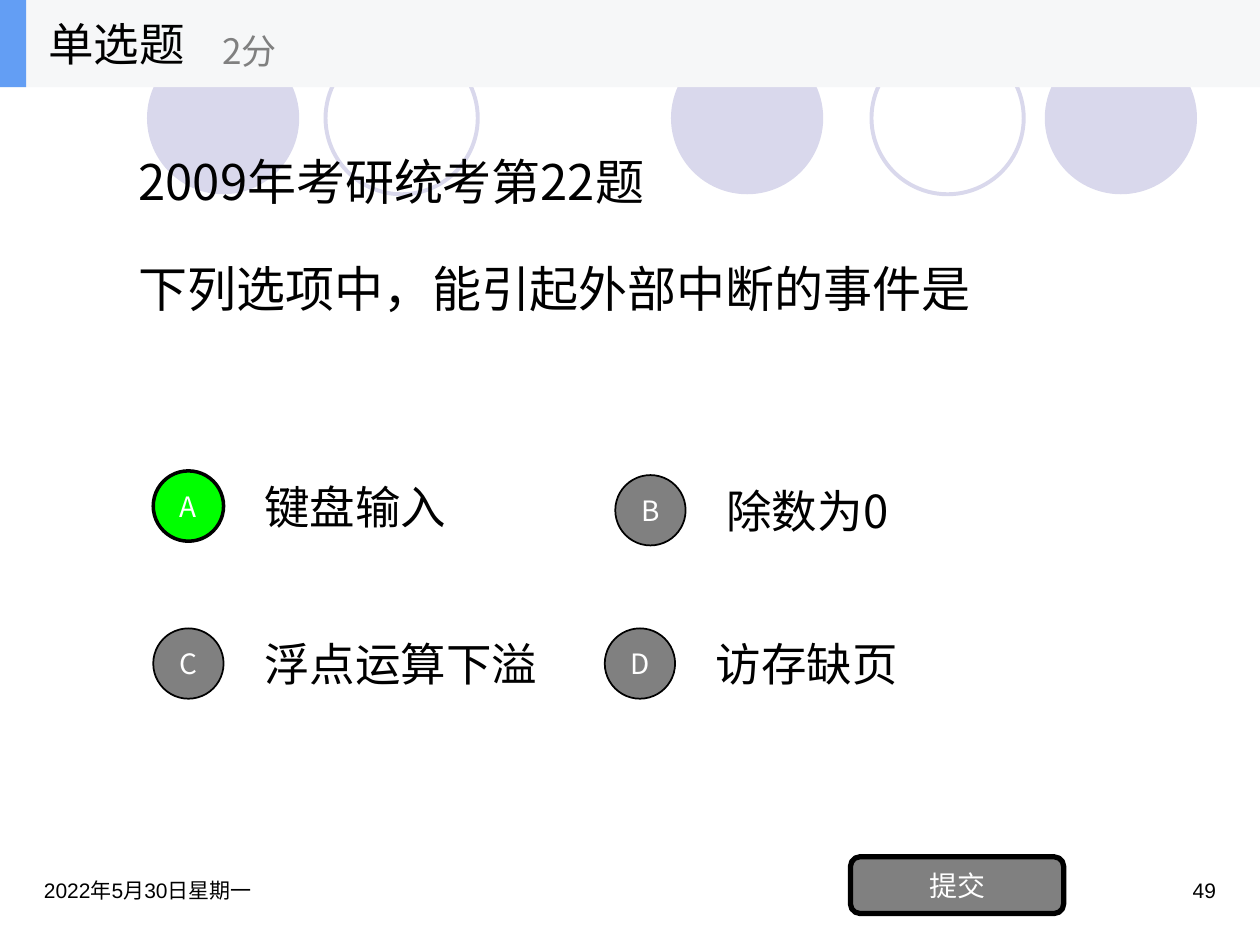
from dataclasses import dataclass

from lxml import etree
from pptx import Presentation, util as u
from pptx.dml.color import RGBColor
from pptx.enum import shapes, text
from pptx.oxml import ns


@dataclass(frozen=True)
class Theme:
    black: str = "000000"
    white: str = "FFFFFF"
    grey: str = "808080"
    lilac: str = "D9D8EC"
    blue: str = "639EF4"
    band: str = "F6F7F8"
    correct: str = "00FF00"
    latin: str = "Arial"
    cjk: str = "Noto Sans CJK SC"
    question: int = 28
    heading: int = 26
    score: int = 20
    button: int = 16
    footer: int = 12


class QuizPage:
    """Places elements on a grid of 120 columns by 90 rows."""

    columns, rows = 120, 90

    def __init__(self, deck, theme):
        self.theme = theme
        self.cell_width = deck.slide_width / self.columns
        self.cell_height = deck.slide_height / self.rows
        self.page = deck.slides.add_slide(deck.slide_layouts[1])

    def area(self, left, top, width, height):
        return (u.Emu(round(left * self.cell_width)), u.Emu(round(top * self.cell_height)),
                u.Emu(round(width * self.cell_width)), u.Emu(round(height * self.cell_height)))

    def style_text(self, box, words, size, color, align=text.PP_ALIGN.LEFT,
                   anchor=text.MSO_ANCHOR.MIDDLE, font=None):
        frame = box.text_frame
        frame.text = words
        frame.word_wrap = True
        frame.auto_size = text.MSO_AUTO_SIZE.NONE
        frame.vertical_anchor = anchor
        for para in frame.paragraphs:
            para.alignment = align
            para.space_before = u.Pt(0)
            for span in para.runs:
                span.font.size = u.Pt(size)
                span.font.name = font or self.theme.cjk
                span.font.color.rgb = RGBColor.from_string(color)
                east_asian = etree.SubElement(span.font._element, ns.qn("a:ea"))
                east_asian.set("typeface", self.theme.cjk)

    def shape(self, kind, area, fill=None, line=None, weight=1.0):
        box = self.page.shapes.add_shape(kind, *self.area(*area))
        box.shadow.inherit = False
        if fill:
            box.fill.solid()
            box.fill.fore_color.rgb = RGBColor.from_string(fill)
        else:
            box.fill.background()
        if line:
            box.line.color.rgb = RGBColor.from_string(line)
            box.line.width = u.Pt(weight)
        else:
            box.line.fill.background()
        return box

    def button(self, kind, area, words, fill, weight):
        box = self.shape(kind, area, fill, self.theme.black, weight)
        frame = box.text_frame
        frame.margin_left = frame.margin_right = frame.margin_top = frame.margin_bottom = 0
        self.style_text(box, words, self.theme.button, self.theme.white, text.PP_ALIGN.CENTER)

    def label(self, area, words, size, color, **style):
        box = self.page.shapes.add_textbox(*self.area(*area))
        self.style_text(box, words, size, color, **style)

    def placeholder(self, box, area, words, size):
        box.left, box.top, box.width, box.height = self.area(*area)
        self.style_text(box, words, size, self.theme.black)
        # Bring in front of what has been drawn so far
        box.element.getparent().append(box.element)

    def title(self, area, words):
        self.placeholder(self.page.shapes.title, area, words, self.theme.heading)

    def question(self, area, lines, gap):
        box = self.page.placeholders[1]
        self.placeholder(box, area, "\n".join(lines), self.theme.question)
        for para in box.text_frame.paragraphs:
            properties = para._p.get_or_add_pPr()
            properties.set("marL", "0")
            properties.set("indent", "0")
            etree.SubElement(properties, ns.qn("a:buNone"))
        box.text_frame.paragraphs[0].space_after = u.Pt(gap)

    def option(self, letter, words, left, top, correct=False):
        self.label((left, top, 35, 8.4), words, self.theme.heading, self.theme.black)
        self.button(shapes.MSO_SHAPE.OVAL, (left - 9.4, top + 0.85, 6.7, 6.7), letter,
                    self.theme.correct if correct else self.theme.grey, 2 if correct else 1)


def main():
    deck = Presentation()
    deck.slide_width, deck.slide_height = u.Inches(10), u.Inches(7.5)
    theme = Theme()
    quiz = QuizPage(deck, theme)

    # Row of decorative circles, filled or outlined
    for left, filled in ((14, True), (31, False), (63.9, True), (83, False), (99.5, True)):
        quiz.shape(shapes.MSO_SHAPE.OVAL, (left, 4, 14.5, 14.5),
                   fill=theme.lilac if filled else None,
                   line=None if filled else theme.lilac, weight=2.25)

    # Date and page number
    for left, words, align in ((3, "2022年5月30日星期一", text.PP_ALIGN.LEFT),
                               (89, "49", text.PP_ALIGN.RIGHT)):
        quiz.label((left, 83, 28, 6), words, theme.footer, theme.black, align=align,
                   anchor=text.MSO_ANCHOR.TOP, font=theme.latin)

    # Question and its options
    quiz.question((12, 8.3, 96, 28),
                  ("2009年考研统考第22题", "下列选项中，能引起外部中断的事件是"), gap=27.5)
    quiz.option("A", "键盘输入", 24, 44, correct=True)
    quiz.option("B", "除数为0", 68, 44.4)
    quiz.option("C", "浮点运算下溢", 24, 59)
    quiz.option("D", "访存缺页", 67, 59)
    quiz.button(shapes.MSO_SHAPE.ROUNDED_RECTANGLE, (81, 81.6, 20.3, 5.4), "提交", theme.grey, 3)

    # Header band with question type and score
    for width, color in ((120, theme.band), (2.5, theme.blue)):
        quiz.shape(shapes.MSO_SHAPE.RECTANGLE, (0, 0, width, 8.3), color)
    quiz.title((3.4, 0, 25, 8.3), "单选题")
    quiz.label((20, 1.4, 30, 6.8), "2分", theme.score, theme.grey)

    deck.save("out.pptx")


if __name__ == "__main__":
    main()
